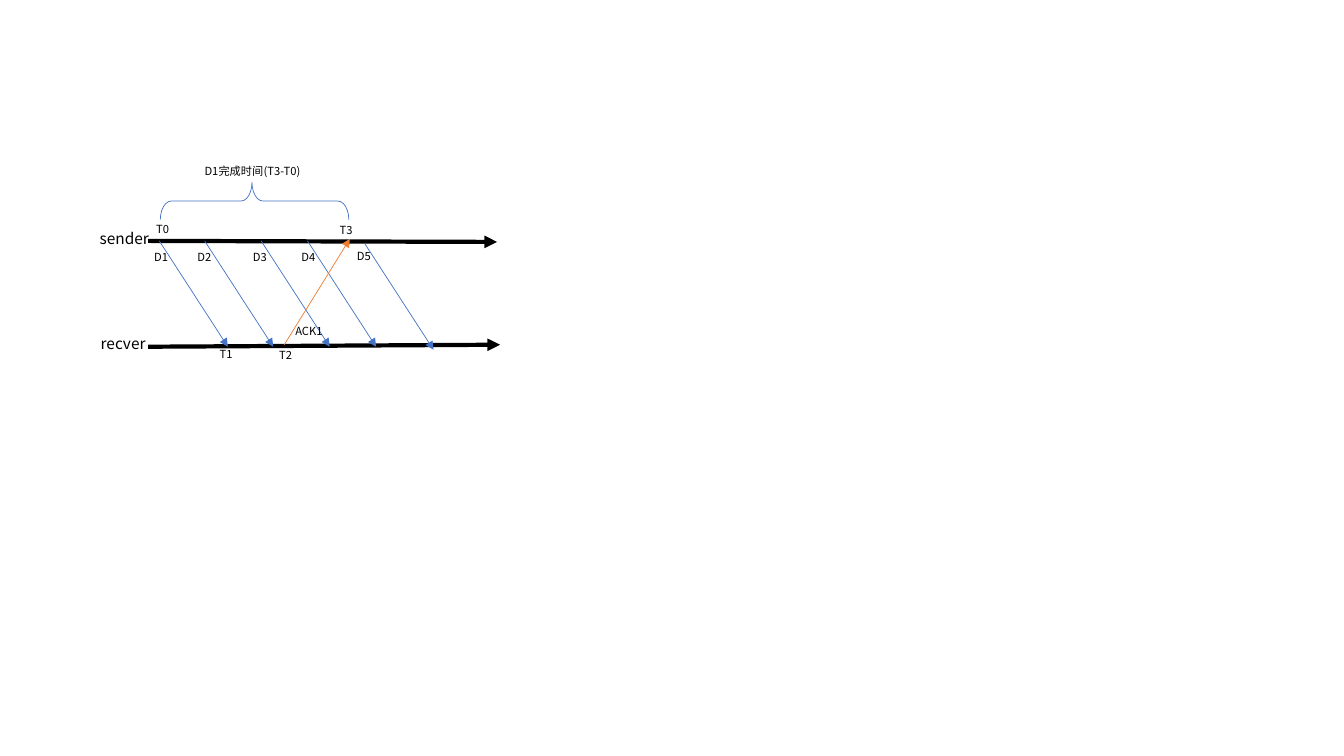
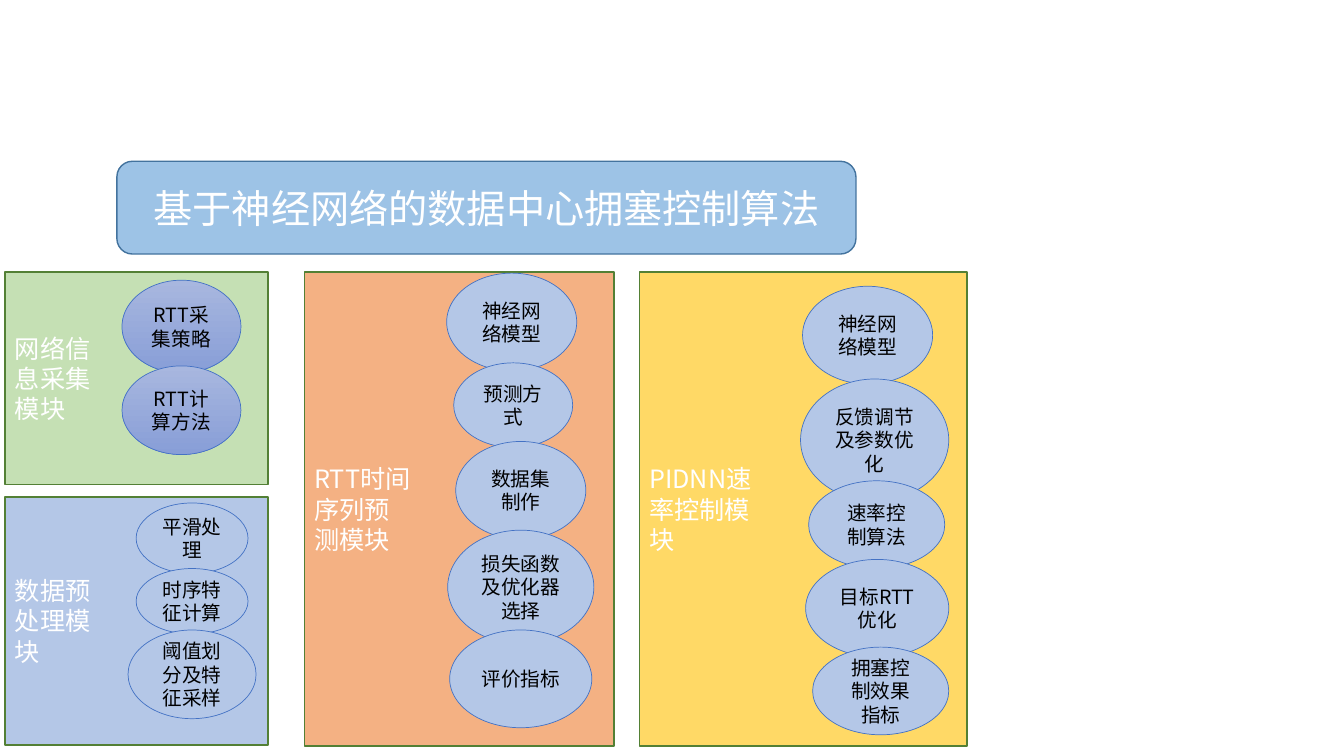
from lxml.etree import SubElement
from pptx import Presentation
from pptx.dml.color import RGBColor
from pptx.enum.shapes import MSO_CONNECTOR as Connector, MSO_SHAPE as Shape
from pptx.enum.text import MSO_ANCHOR as Anchor, MSO_AUTO_SIZE as AutoSize, PP_ALIGN as Align
from pptx.oxml.ns import qn
from pptx.util import Pt

PX = 9144  # EMU per pixel, 100 pixels to the inch
FONT = "Noto Sans CJK SC"
BLACK, WHITE = "000000", "FFFFFF"
BLUE, ORANGE, PALE_BLUE = "4472C4", "ED7D31", "B4C7E7"
BANNER_FILL, BANNER_LINE, MODULE_LINE = "9DC3E6", "43739E", "538035"
GRADIENT = ("A8B7DF", "889ED7")


def rgb(colour):
    return RGBColor.from_string(colour)


def write(shape, text, size, colour, align=Align.LEFT, anchor=Anchor.MIDDLE):
    frame = shape.text_frame
    frame.word_wrap = True
    frame.vertical_anchor = anchor
    paragraph = frame.paragraphs[0]
    paragraph.text = text
    paragraph.alignment = align
    paragraph.font.name = FONT
    paragraph.font.size = Pt(size)
    paragraph.font.color.rgb = rgb(colour)
    font_properties = paragraph._p.find(".//" + qn("a:defRPr"))
    SubElement(font_properties, qn("a:ea"), typeface=FONT)


presentation = Presentation()
presentation.slide_width = 1333 * PX
presentation.slide_height = 750 * PX
title_only, blank = presentation.slide_layouts[5], presentation.slide_layouts[6]

# Slide 1: packet timing between sender and receiver
slide = presentation.slides.add_slide(blank)

# Time axes, data packets and the acknowledgement
packet_starts = [(158, 239), (203, 239), (259, 239), (305, 239), (362, 242)]
arrows = [
    (147, 344, 496, 342, BLACK, 3),
    (147, 239, 493, 240, BLACK, 3),
    *[(x, y, x + 68, y + 105, BLUE, 0.5) for x, y in packet_starts],
    (282, 342, 347, 237, ORANGE, 0.5),
]
for *ends, colour, width in arrows:
    arrow = slide.shapes.add_connector(Connector.STRAIGHT, *[end * PX for end in ends])
    arrow.line.color.rgb = rgb(colour)
    arrow.line.width = Pt(width)
    SubElement(arrow.line._get_or_add_ln(), qn("a:tailEnd"), type="triangle")
    SubElement(arrow.element.spPr, qn("a:effectLst"))

# Brace over the completion time
brace = slide.shapes.add_shape(Shape.LEFT_BRACE, 234 * PX, 106 * PX, 37 * PX, 187 * PX)
brace.rotation = 90
brace.adjustments[0] = 0.295
brace.adjustments[1] = 0.514
brace.fill.background()
brace.line.color.rgb = rgb(BLUE)
brace.line.width = Pt(0.5)
brace.shadow.inherit = False

# Labels: text, left, top, width, height, size
labels = [
    ("sender", 89, 222, 75, 29, 11),
    ("recver", 90, 327, 75, 29, 11),
    ("T0", 145, 216, 61, 24, 8),
    ("T3", 327, 217, 61, 24, 8),
    ("T2", 267, 341, 61, 24, 8),
    ("T1", 208, 340, 61, 24, 8),
    ("D1", 143, 243, 62, 24, 8),
    ("D2", 186, 243, 62, 24, 8),
    ("D3", 241, 243, 62, 24, 8),
    ("D4", 289, 243, 62, 24, 8),
    ("D5", 344, 242, 62, 24, 8),
    ("ACK1", 283, 317, 62, 24, 8),
    ("D1完成时间(T3-T0)", 193, 158, 118, 24, 8),
]
for text, *box, size in labels:
    label = slide.shapes.add_textbox(*[length * PX for length in box])
    write(label, text, size, BLACK, anchor=Anchor.TOP)
    label.text_frame.auto_size = AutoSize.SHAPE_TO_FIT_TEXT

# Slide 2: modules of the algorithm
slide = presentation.slides.add_slide(title_only)

# Title on its banner
banner_box = [length * PX for length in (116, 160, 733, 92)]
banner = slide.shapes.add_shape(Shape.ROUNDED_RECTANGLE, *banner_box)
banner.fill.solid()
banner.fill.fore_color.rgb = rgb(BANNER_FILL)
banner.line.color.rgb = rgb(BANNER_LINE)
banner.line.width = Pt(1)
banner.shadow.inherit = False
title = slide.shapes.title
title.left, title.top, title.width, title.height = banner_box
write(title, "基于神经网络的数据中心拥塞控制算法", 28, WHITE, Align.CENTER)
title.text_frame.auto_size = AutoSize.NONE
title.element.addprevious(banner.element)

# Modules: name, fill, box, gradient steps or not, steps with their boxes
modules = [
    ("网络信息采集模块", "C5E0B4", (5, 270, 261, 211), True, [
        ("RTT采集策略", 121, 278, 118, 92),
        ("RTT计算方法", 121, 363, 118, 88),
    ]),
    ("数据预处理模块", PALE_BLUE, (5, 493, 261, 246), False, [
        ("平滑处理", 135, 499, 111, 70),
        ("时序特征计算", 135, 564, 111, 65),
        ("阈值划分及特征采样", 127, 625, 127, 88),
    ]),
    ("RTT时间序列预测模块", "F4B183", (302, 270, 307, 470), False, [
        ("神经网络模型", 443, 271, 129, 97),
        ("预测方式", 450, 360, 118, 84),
        ("数据集制作", 452, 438, 129, 97),
        ("损失函数及优化器选择", 444, 526, 145, 113),
        ("评价指标", 446, 625, 141, 97),
    ]),
    ("PIDNN速率控制模块", "FFD966", (634, 270, 325, 470), False, [
        ("神经网络模型", 796, 284, 129, 97),
        ("反馈调节及参数优化", 794, 376, 147, 121),
        ("速率控制算法", 802, 477, 135, 87),
        ("目标RTT优化", 799, 555, 142, 97),
        ("拥塞控制效果指标", 806, 642, 135, 87),
    ]),
]
for name, colour, box, has_gradient, steps in modules:
    module = slide.shapes.add_shape(Shape.RECTANGLE, *[length * PX for length in box])
    module.fill.solid()
    module.fill.fore_color.rgb = rgb(colour)
    module.line.color.rgb = rgb(MODULE_LINE)
    module.line.width = Pt(1)
    module.shadow.inherit = False
    write(module, name, 18, WHITE)
    module.text_frame._txBody.bodyPr.set("numCol", "3")

    for text, *step_box in steps:
        step = slide.shapes.add_shape(Shape.OVAL, *[length * PX for length in step_box])
        if has_gradient:
            step.fill.gradient()
            step.fill.gradient_angle = 270
            for stop, stop_colour in zip(step.fill.gradient_stops, GRADIENT):
                stop.color.rgb = rgb(stop_colour)
        else:
            step.fill.solid()
            step.fill.fore_color.rgb = rgb(PALE_BLUE)
        step.line.color.rgb = rgb(BLUE)
        step.line.width = Pt(0.5)
        step.shadow.inherit = False
        write(step, text, 14, BLACK, Align.CENTER)

presentation.save("out.pptx")
